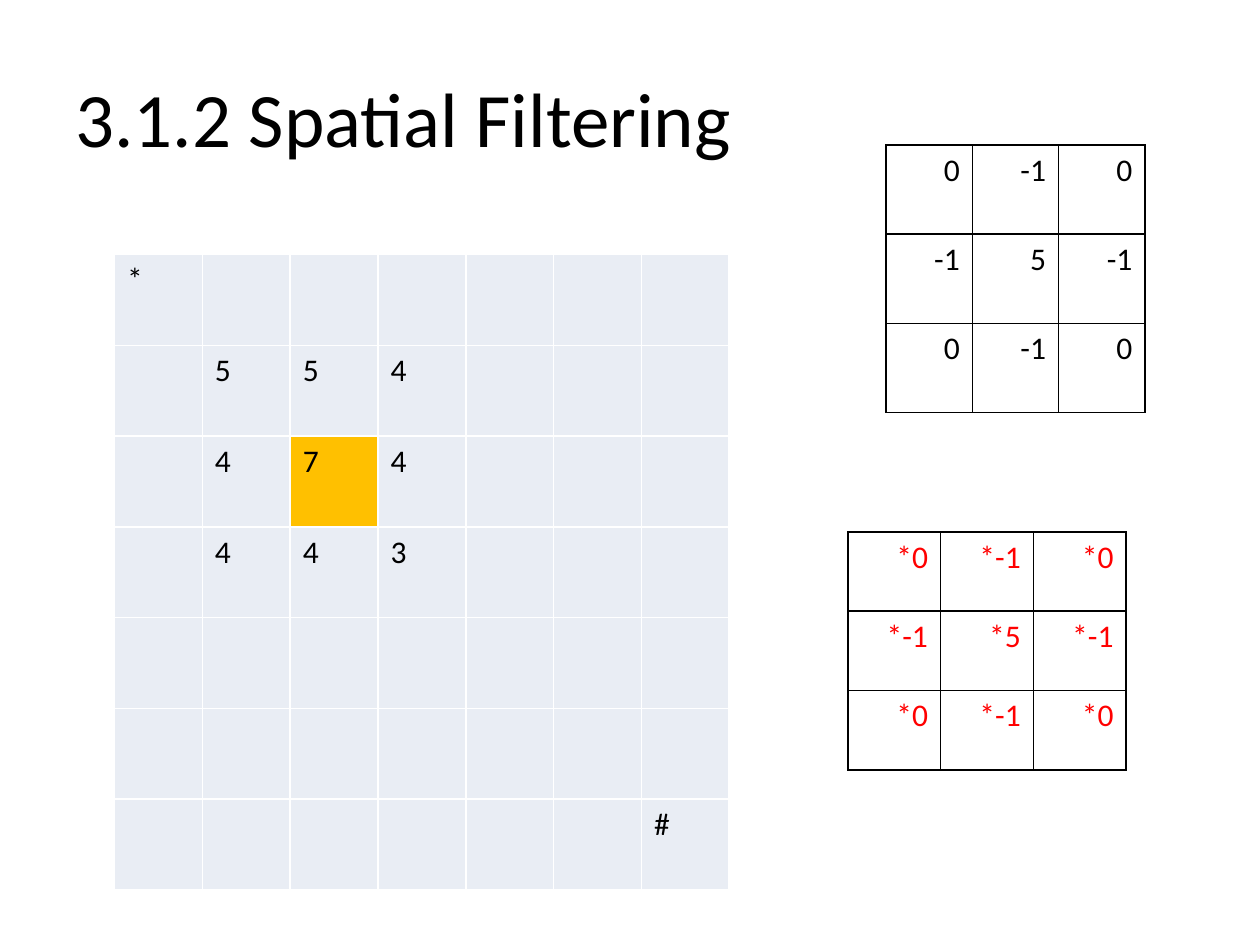
from dataclasses import dataclass

from lxml import etree
from pptx import Presentation
from pptx.dml.color import RGBColor
from pptx.enum.text import MSO_ANCHOR, PP_ALIGN
from pptx.oxml.ns import qn
from pptx.util import Cm, Pt

LEFT, RIGHT = PP_ALIGN.LEFT, PP_ALIGN.RIGHT
MIDDLE = MSO_ANCHOR.MIDDLE
TITLE_ONLY = 5


@dataclass(frozen=True)
class Theme:
    font: str = "Calibri"
    title_size: int = 44
    cell_size: int = 18
    border_width: int = 1
    black: str = "000000"
    white: str = "FFFFFF"
    red: str = "FF0000"
    pale: str = "E9EDF4"
    highlight: str = "FFC000"


THEME = Theme()

# Grid contents
LARGE_GRID = [
    ["*", "", "", "", "", "", ""],
    ["", "5", "5", "4", "", "", ""],
    ["", "4", "7", "4", "", "", ""],
    ["", "4", "4", "3", "", "", ""],
    [""] * 7,
    [""] * 7,
    ["", "", "", "", "", "", "#"],
]
SMALL_GRID = [["0", "-1", "0"], ["-1", "5", "-1"], ["0", "-1", "0"]]
HIGHLIGHTED_CELL = (2, 2)


def style_text(paragraph, size, color, align):
    paragraph.alignment = align
    paragraph.font.name = THEME.font
    paragraph.font.size = Pt(size)
    paragraph.font.color.rgb = RGBColor.from_string(color)


def set_borders(cell, color):
    properties = cell._tc.get_or_add_tcPr()
    for side in ("a:lnL", "a:lnR", "a:lnT", "a:lnB"):
        line = etree.SubElement(properties, qn(side), w=str(Pt(THEME.border_width)))
        solid = etree.SubElement(line, qn("a:solidFill"))
        etree.SubElement(solid, qn("a:srgbClr"), val=color)


def fill_cell(cell, color):
    if color is None:
        cell.fill.background()
    else:
        cell.fill.solid()
        cell.fill.fore_color.rgb = RGBColor.from_string(color)


def add_title(slide, text):
    title = slide.shapes.title
    title.left, title.top = Cm(1.27), Cm(0.76)
    title.width, title.height = Cm(22.86), Cm(3.18)
    title.text_frame.text = text
    title.text_frame.vertical_anchor = MIDDLE
    style_text(title.text_frame.paragraphs[0], THEME.title_size, THEME.black, LEFT)


def add_grid(slide, values, left, top, cell_width, cell_height,
             text_color, border, align, fill=None):
    rows, cols = len(values), len(values[0])
    grid = slide.shapes.add_table(
        rows, cols, Cm(left), Cm(top),
        Cm(cell_width * cols), Cm(cell_height * rows)).table
    grid.first_row = grid.horz_banding = False
    for r, row in enumerate(values):
        for c, value in enumerate(row):
            cell = grid.cell(r, c)
            cell.text = value
            style_text(cell.text_frame.paragraphs[0], THEME.cell_size, text_color, align)
            set_borders(cell, border)
            fill_cell(cell, fill)
    return grid


def main():
    presentation = Presentation()
    presentation.slide_width, presentation.slide_height = Cm(25.4), Cm(19.05)
    slide = presentation.slides.add_slide(presentation.slide_layouts[TITLE_ONLY])

    # Title
    add_title(slide, "3.1.2 Spatial Filtering")

    # Large grid with one highlighted cell
    large_grid = add_grid(slide, LARGE_GRID, 2.31, 5.13, 1.77, 1.83,
                          THEME.black, THEME.white, LEFT, THEME.pale)
    fill_cell(large_grid.cell(*HIGHLIGHTED_CELL), THEME.highlight)

    # Upper small grid
    add_grid(slide, SMALL_GRID, 17.86, 2.92, 1.74, 1.8,
             THEME.black, THEME.black, RIGHT)

    # Lower small grid: the same values, each after a star
    starred_grid = [[f"*{value}" for value in row] for row in SMALL_GRID]
    add_grid(slide, starred_grid, 17.09, 10.72, 1.87, 1.6,
             THEME.red, THEME.black, RIGHT)

    presentation.save("out.pptx")


if __name__ == "__main__":
    main()
